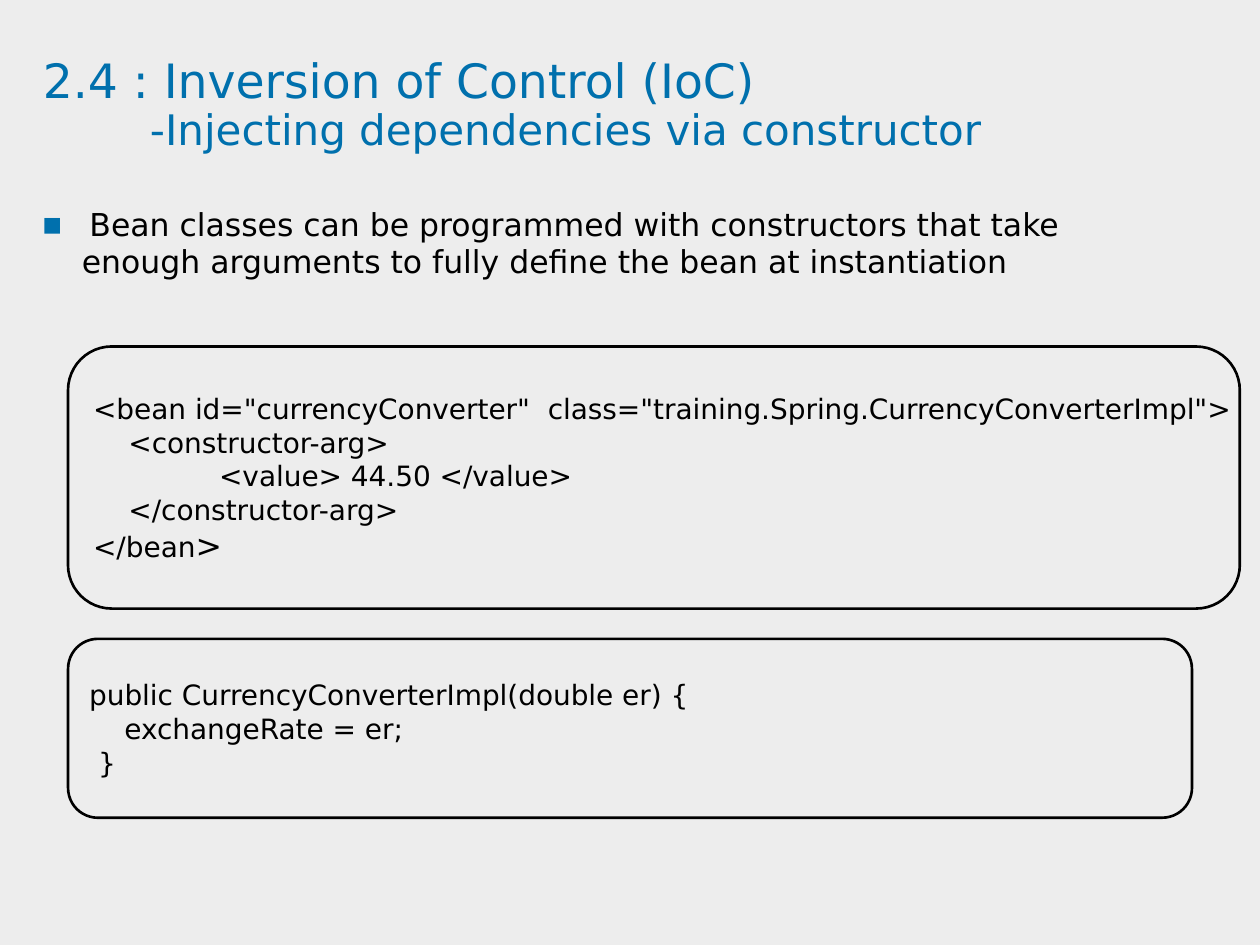
from dataclasses import dataclass

from lxml.etree import SubElement
from pptx import Presentation
from pptx.dml.color import RGBColor
from pptx.enum.shapes import MSO_SHAPE
from pptx.enum.text import MSO_ANCHOR, MSO_AUTO_SIZE, PP_ALIGN
from pptx.oxml.ns import qn
from pptx.util import Inches, Pt


@dataclass(frozen=True)
class Theme:
    font: str = "DejaVu Sans"
    background: RGBColor = RGBColor(0xED, 0xED, 0xED)
    accent: RGBColor = RGBColor(0x00, 0x70, 0xAD)
    ink: RGBColor = RGBColor(0x00, 0x00, 0x00)
    title: int = 27
    subtitle: int = 24
    body: int = 18
    code: int = 16
    outline: float = 1.5


THEME = Theme()


def add_run(p, text, size, color=THEME.ink):
    r = p.add_run()
    r.text = text
    r.font.name = THEME.font
    r.font.size = Pt(size)
    r.font.color.rgb = color


def next_paragraph(tf, first, left=0, hanging=0):
    """Start a left-aligned paragraph, indented in inches."""
    p = tf.paragraphs[0] if first else tf.add_paragraph()
    p.alignment = PP_ALIGN.LEFT
    pPr = p._p.get_or_add_pPr()
    pPr.set("marL", str(Inches(left)))
    pPr.set("indent", str(-Inches(hanging)))
    return p


prs = Presentation()
prs.slide_width, prs.slide_height = Inches(10), Inches(7.5)
s = prs.slides.add_slide(prs.slide_layouts[1])
s.background.fill.solid()
s.background.fill.fore_color.rgb = THEME.background

# Title and body placeholders
title, body = s.shapes.title, s.placeholders[1]
for sp, (left, top, width, height) in (
    (title, (0.34, 0.46, 9.09, 0.95)),
    (body, (0.33, 1.7, 9.67, 1)),
):
    sp.left, sp.top = Inches(left), Inches(top)
    sp.width, sp.height = Inches(width), Inches(height)
    tf = sp.text_frame
    tf.margin_left = tf.margin_top = tf.margin_right = tf.margin_bottom = 0
    tf.vertical_anchor = MSO_ANCHOR.TOP
    tf.auto_size = MSO_AUTO_SIZE.NONE
    tf.word_wrap = True

title_lines = [
    ("2.4 : Inversion of Control (IoC)", THEME.title, 0),
    ("-Injecting dependencies via constructor", THEME.subtitle, 0.85),
]
for i, (text, size, left) in enumerate(title_lines):
    p = next_paragraph(title.text_frame, i == 0, left)
    p.line_spacing = 0.9
    p.space_before = Pt(0)
    add_run(p, text, size, THEME.accent)

body_lines = [
    ("Bean classes can be programmed with constructors that take", 0.38, 0.38),
    ("enough arguments to fully define the bean at instantiation", 0.32, 0),
]
for i, (text, left, hanging) in enumerate(body_lines):
    p = next_paragraph(body.text_frame, i == 0, left, hanging)
    p.line_spacing = Pt(16.5)
    p.space_before, p.space_after = Pt(0), Pt(4.5)
    pPr = p._p.get_or_add_pPr()
    if hanging:
        color = SubElement(pPr, qn("a:buClr"))
        SubElement(color, qn("a:srgbClr")).set("val", str(THEME.accent))
        SubElement(pPr, qn("a:buFont")).set("typeface", THEME.font)
        SubElement(pPr, qn("a:buChar")).set("char", "▪")
    else:
        SubElement(pPr, qn("a:buNone"))
    add_run(p, text, THEME.body)

# Code boxes: top, width, height, then lines of (indent, runs)
bean_xml = [
    (0, [('<bean id="currencyConverter"  class="training.Spring.CurrencyConverterImpl">', THEME.code)]),
    (0.28, [("<constructor-arg>", THEME.code)]),
    (1, [("<value> 44.50 </value>", THEME.code)]),
    (0.28, [("</constructor-arg>", THEME.code)]),
    (0, [("</bean", THEME.code), (">", THEME.body)]),
]
constructor_java = [
    (0, [("public CurrencyConverterImpl(double er) {", THEME.code)]),
    (0.28, [("exchangeRate = er;", THEME.code)]),
    (0.07, [("}", THEME.code)]),
]
for top, width, height, lines in (
    (2.75, 9.3, 2.08, bean_xml),
    (5.07, 8.92, 1.42, constructor_java),
):
    sp = s.shapes.add_shape(MSO_SHAPE.ROUNDED_RECTANGLE, Inches(0.54), Inches(top),
                            Inches(width), Inches(height))
    sp.shadow.inherit = False
    sp.fill.background()
    sp.line.color.rgb = THEME.ink
    sp.line.width = Pt(THEME.outline)
    tf = sp.text_frame
    tf.word_wrap = False
    tf.vertical_anchor = MSO_ANCHOR.MIDDLE
    for i, (indent, runs) in enumerate(lines):
        p = next_paragraph(tf, i == 0, indent)
        for text, size in runs:
            add_run(p, text, size)

prs.save("out.pptx")
